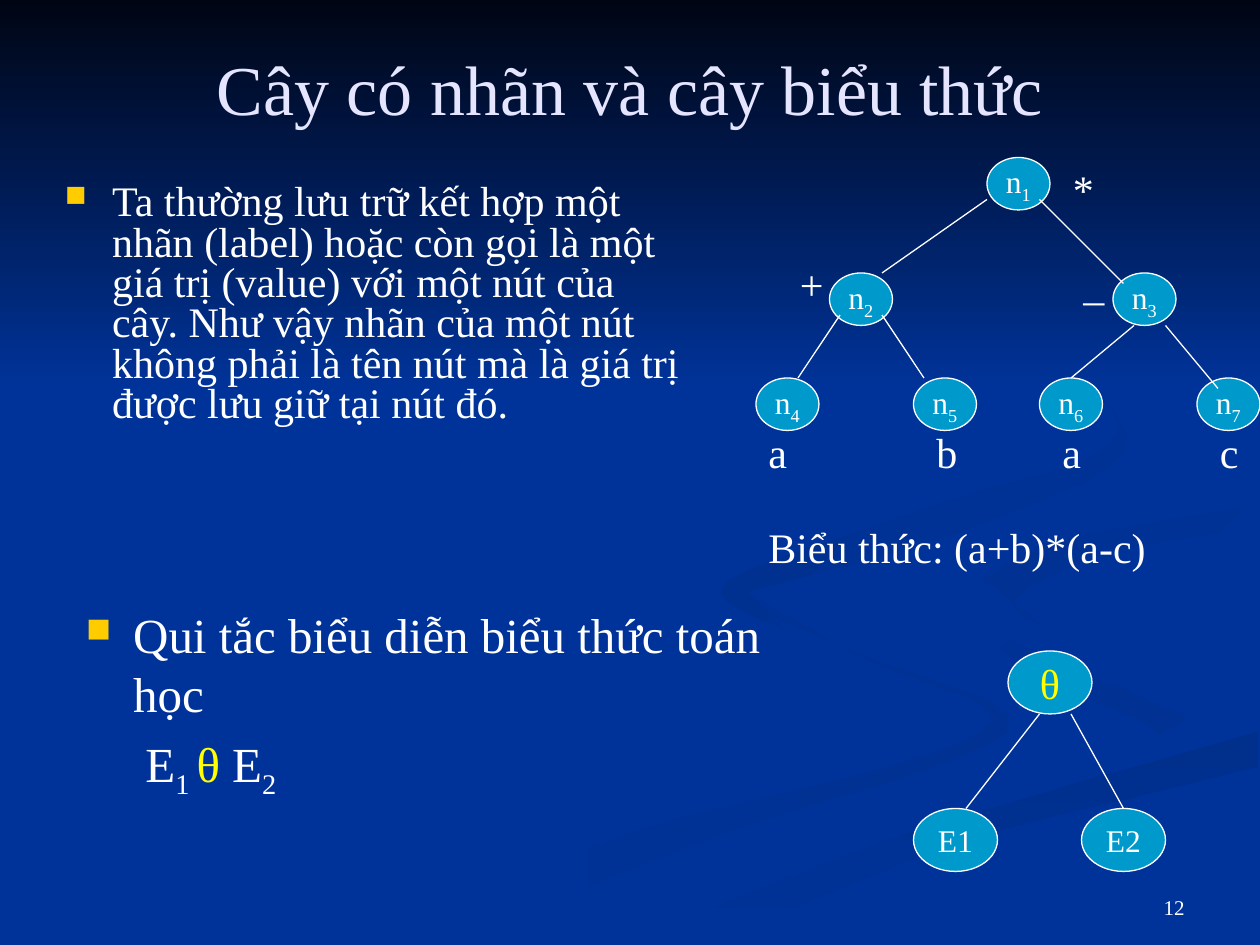
from dataclasses import dataclass
from lxml.etree import SubElement
from pptx import Presentation
from pptx.dml.color import RGBColor
from pptx.enum.shapes import MSO_CONNECTOR, MSO_SHAPE
from pptx.enum.text import MSO_ANCHOR, PP_ALIGN
from pptx.oxml.ns import qn
from pptx.slide import Slide
from pptx.util import Pt

COLORS = {
    "ground": "003399", "night": "000514", "shade": "003193", "deep": "002F8C",
    "node": "0099CC", "text": "FFFFFF", "title": "E5E5FF",
    "bullet": "FFCC00", "operator": "FFFF00",
}

SWOOSHES = [
    ("ground", "shade", 0, [
        [(216, 539), (359, 476), (514, 436), (566, 408), (489, 374), (414, 330)],
        [(423, 346), (491, 374), (576, 418), (406, 479), (260, 539)]]),
    ("ground", "shade", 45, [
        [(521, 334), (587, 382), (661, 418), (644, 436)],
        [(679, 410), (598, 374), (521, 334)]]),
    ("deep", "ground", 90, [
        [(362, 539), (501, 482), (719, 418)],
        [(719, 438), (541, 484), (411, 539)]]),
    ("ground", "ground", 0, [
        [(343, 539), (507, 472), (679, 410), (598, 374), (522, 334), (613, 296), (719, 279)],
        [(719, 289), (562, 331), (719, 387)],
        [(719, 418), (501, 482), (362, 539)]]),
    ("shade", "ground", 45, [
        [(719, 302), (632, 316), (580, 343), (595, 357)],
        [(562, 331), (601, 310), (719, 289)]]),
    ("deep", "ground", 45, [
        [(549, 168), (640, 246), (528, 291), (415, 333), (448, 360)],
        [(427, 338), (566, 297), (644, 248), (549, 168)]]),
]


def rgb(name):
    """Return the palette colour with this name."""
    return RGBColor.from_string(COLORS[name])


def smooth(knots, steps=6):
    """Return points on a Catmull-Rom curve through the knots."""
    padded = [knots[0], *knots, knots[-1]]
    curve = [knots[0]]
    for before, start, end, after in zip(padded, padded[1:], padded[2:], padded[3:]):
        for step in range(1, steps + 1):
            t = step / steps
            curve.append(tuple(
                b + t / 2 * (c - a + t * (2 * a - 5 * b + 4 * c - d + t * (3 * b - a - 3 * c + d)))
                for a, b, c, d in zip(before, start, end, after)))
    return curve


@dataclass
class TreeSlide:
    """Draws text, nodes and edges in one style on one slide."""
    slide: Slide
    typeface: str = "Times New Roman"
    line_width: float = 0.75

    def swoosh(self, first, last, angle, outline):
        builder = self.slide.shapes.build_freeform(*outline[0], scale=Pt(1))
        builder.add_line_segments(outline[1:], close=True)
        self.shade(builder.convert_to_shape(), first, last, angle)

    def shade(self, band, first, last, angle):
        band.shadow.inherit = False
        band.line.fill.background()
        band.fill.gradient()
        band.fill.gradient_angle = 360 - angle
        for stop, name in zip(band.fill.gradient_stops, (first, last)):
            stop.color.rgb = rgb(name)

    def paragraph(self, paragraph, runs, size, color="text", align=PP_ALIGN.LEFT,
                  before=0, spacing=None):
        paragraph.alignment = align
        paragraph.space_before = Pt(before)
        paragraph.line_spacing = spacing
        font = paragraph.font
        font.name, font.size, font.color.rgb = self.typeface, Pt(size), rgb(color)
        for wording, style in runs:
            run = paragraph.add_run()
            run.text = wording
            if style == "sub":
                run._r.get_or_add_rPr().set("baseline", "-25000")
            elif style:
                run.font.color.rgb = rgb(style)

    def text(self, box, wording, size, anchor=MSO_ANCHOR.TOP, **style):
        frame = self.slide.shapes.add_textbox(*map(Pt, box)).text_frame
        frame.word_wrap = True
        frame.vertical_anchor = anchor
        self.paragraph(frame.paragraphs[0], [(wording, None)], size, **style)
        return frame

    def indent(self, paragraph, left, first=0):
        properties = paragraph._p.get_or_add_pPr()
        properties.set("marL", str(Pt(left)))
        properties.set("indent", str(Pt(first)))
        return properties

    def bullet(self, paragraph):
        properties = self.indent(paragraph, 27, -27)
        defaults = properties.find(qn("a:defRPr"))
        tint = SubElement(properties, qn("a:buClr"))
        SubElement(tint, qn("a:srgbClr"), val=COLORS["bullet"])
        scale = SubElement(properties, qn("a:buSzPct"), val="70000")
        mark = SubElement(properties, qn("a:buChar"), char="■")
        for part in (tint, scale, mark):
            defaults.addprevious(part)

    def node(self, box, runs, size=18, color="text"):
        oval = self.slide.shapes.add_shape(MSO_SHAPE.OVAL, *map(Pt, box))
        oval.shadow.inherit = False
        oval.fill.solid()
        oval.fill.fore_color.rgb = rgb("node")
        oval.line.color.rgb = rgb("text")
        oval.line.width = Pt(self.line_width)
        frame = oval.text_frame
        frame.word_wrap = False
        frame.vertical_anchor = MSO_ANCHOR.MIDDLE
        self.paragraph(frame.paragraphs[0], runs, size, color, PP_ALIGN.CENTER)

    def edge(self, *ends):
        edge = self.slide.shapes.add_connector(MSO_CONNECTOR.STRAIGHT, *map(Pt, ends))
        edge.line.color.rgb = rgb("text")
        edge.line.width = Pt(self.line_width)
        SubElement(edge._element.spPr, qn("a:effectLst"))


def main():
    """Build the slide on labelled trees and expression trees."""
    deck = Presentation()
    deck.slide_width, deck.slide_height = Pt(720), Pt(540)
    page = TreeSlide(deck.slides.add_slide(deck.slide_layouts[6]))
    page.slide.background.fill.solid()
    page.slide.background.fill.fore_color.rgb = rgb("ground")
    for first, last, angle, sides in SWOOSHES:
        page.swoosh(first, last, angle, [point for side in sides for point in smooth(side)])
    page.swoosh("night", "ground", 90, [(0, 0), (0, 222), (720, 222), (720, 0)])

    page.text((516, 492, 168, 37), "12", 12, MSO_ANCHOR.BOTTOM, align=PP_ALIGN.RIGHT)
    page.text((36, 22, 648, 56), "Cây có nhãn và cây biểu thức", 40, MSO_ANCHOR.MIDDLE,
              color="title", align=PP_ALIGN.CENTER)
    definition = page.text(
        (30, 102, 366, 150),
        "Ta thường lưu trữ kết hợp một nhãn (label) hoặc còn gọi là một giá trị (value) "
        "với một nút của cây. Như vậy nhãn của một nút không phải là tên nút mà là giá trị "
        "được lưu giữ tại nút đó.", 24, before=3, spacing=0.8)
    page.bullet(definition.paragraphs[0])
    rule = page.text((42, 342, 444, 150), "Qui tắc biểu diễn biểu thức toán học", 28, before=3)
    page.bullet(rule.paragraphs[0])
    formula = rule.add_paragraph()
    page.paragraph(formula, [("E", None), ("1 ", "sub"), ("θ", "operator"), (" E", None),
                             ("2", "sub")], 28, before=6.5)
    page.indent(formula, 34)
    page.text((432, 300, 252, 30), "Biểu thức: (a+b)*(a-c)", 24, before=3, spacing=0.8)

    page.node((576, 372, 48, 36), [("θ", None)], 24, "operator")
    for left, operand in ((522, "E1"), (618, "E2")):
        page.node((left, 462, 48, 36), [(operand, None)])
    page.edge(594, 408, 552, 462)
    page.edge(612, 408, 642, 462)

    levels = {90: [564], 156: [474, 636], 216: [432, 522, 594, 684]}
    corners = [(left, top) for top, lefts in levels.items() for left in lefts]
    for number, corner in enumerate(corners, 1):
        page.node((*corner, 36, 30), [("n", None), (str(number), "sub")])
    for ends in [(564, 114, 504, 156), (594, 114, 642, 162),
                 (480, 180, 456, 216), (504, 180, 528, 216),
                 (648, 186, 612, 216), (666, 186, 696, 222)]:
        page.edge(*ends)
    labels = {90: [(606, "*")], 144: [(450, "+"), (612, "_")],
              240: [(432, "a"), (528, "b"), (600, "a"), (690, "c")]}
    for top, row in labels.items():
        for left, label in row:
            page.text((left, top, 30, 36), label, 24, before=3)
    deck.save("out.pptx")


if __name__ == "__main__":
    main()
